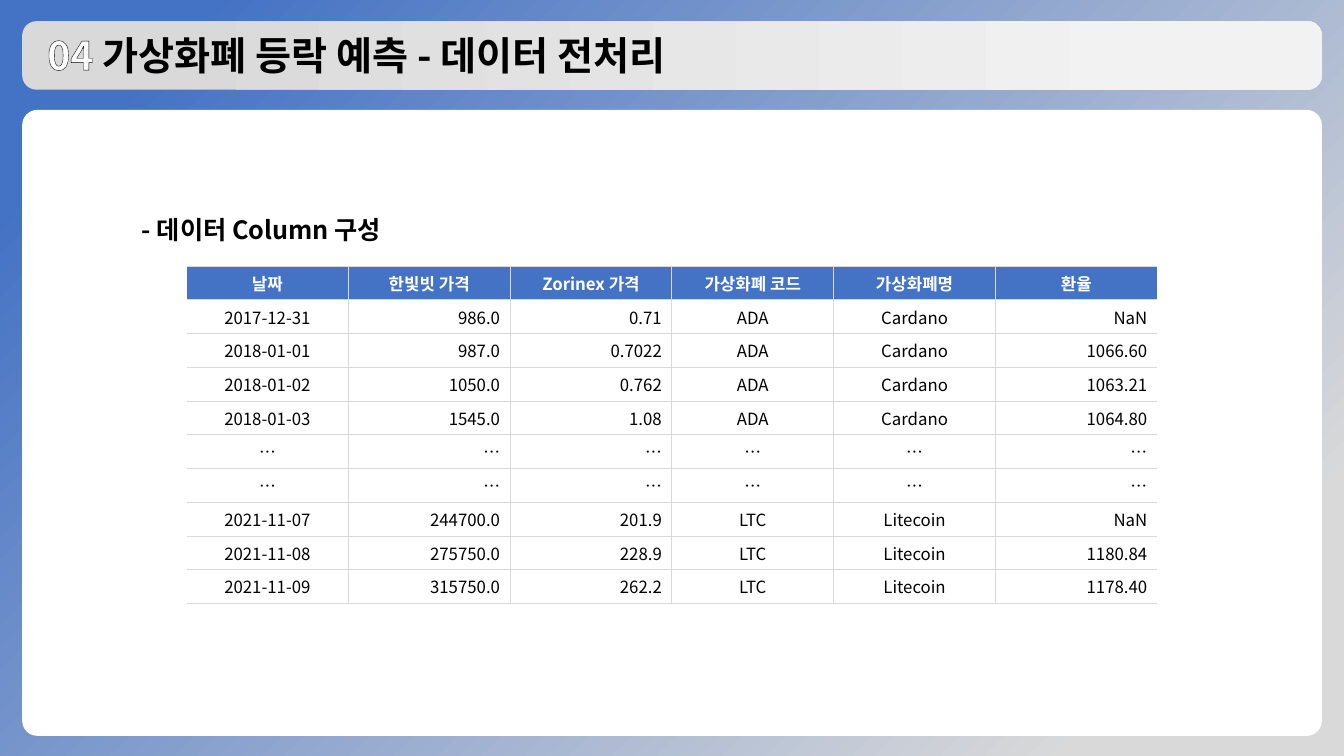
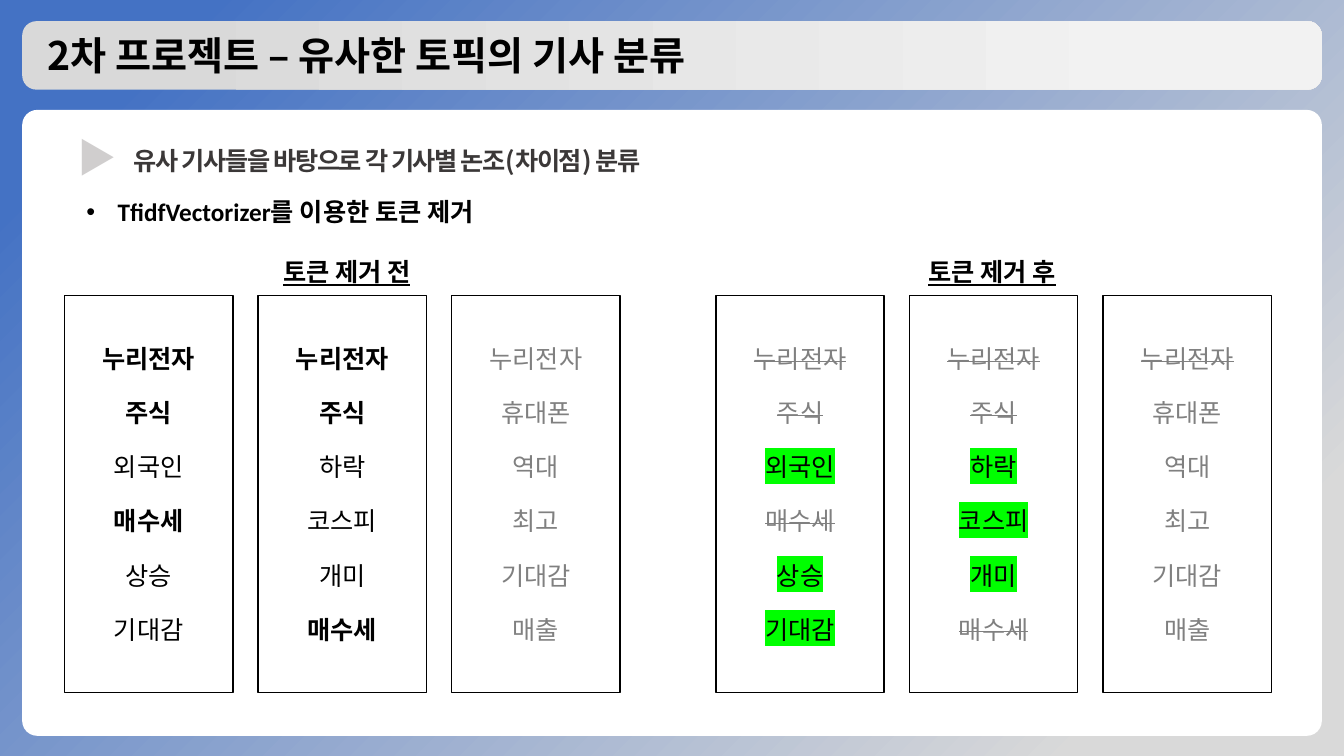
import pptx
import pptx.util
from lxml import etree
from pptx.dml.color import RGBColor
from pptx.enum.dml import MSO_PATTERN
from pptx.enum.shapes import MSO_SHAPE
from pptx.enum.text import MSO_ANCHOR, PP_ALIGN
from pptx.oxml.ns import qn

Inches, Pt = pptx.util.Inches, pptx.util.Pt
color = RGBColor.from_string

KOREAN = "Noto Sans CJK KR"
BLUE, SILVER, WHITE, BLACK = "4472C4", "D9D9D9", "FFFFFF", "000000"
DARK, GRAY, GREEN = "3B3838", "808080", "00FF00"


def add_run(paragraph, text, size=18, ink=BLACK, bold=True, font=KOREAN,
            pattern=None, strike=False, highlight=None):
    """Add one run; pattern is (foreground, background, outline, outline width)."""
    run = paragraph.add_run()
    run.text = text
    run.font.size, run.font.bold = Pt(size), bold
    properties = run.font._element
    if pattern:
        front, back, outline, width = pattern
        run.font.fill.patterned()
        run.font.fill.pattern = MSO_PATTERN.DARK_UPWARD_DIAGONAL
        run.font.fill.fore_color.rgb = color(front)
        run.font.fill.back_color.rgb = color(back)
        line = etree.Element(qn("a:ln"), w=str(Pt(width)))
        solid = etree.SubElement(line, qn("a:solidFill"))
        etree.SubElement(solid, qn("a:srgbClr"), val=outline)
        properties.insert(0, line)
    else:
        run.font.color.rgb = color(ink)
    if strike:
        properties.set("strike", "sngStrike")
    if highlight:
        marker = etree.SubElement(properties, qn("a:highlight"))
        etree.SubElement(marker, qn("a:srgbClr"), val=highlight)
    run.font.name = font
    etree.SubElement(properties, qn("a:ea"), typeface=KOREAN)
    return run


def add_line_box(slide, left, top, width, height):
    """Add a wrapping text box and return its first paragraph."""
    frame = slide.shapes.add_textbox(
        Inches(left), Inches(top), Inches(width), Inches(height)).text_frame
    frame.word_wrap = True
    frame.vertical_anchor = MSO_ANCHOR.MIDDLE
    return frame.paragraphs[0]


prs = pptx.Presentation()
prs.slide_width, prs.slide_height = Inches(13.33), Inches(7.5)
blank = prs.slide_layouts[6]

# Shared frame: background, title band, white panel, title line
slides, titles = [], []
for _ in range(2):
    slide = prs.slides.add_slide(blank)
    bands = []
    for top, height, corner in [(0.21, 0.68, 0.208), (1.09, 6.21, 0.024)]:
        band = slide.shapes.add_shape(
            MSO_SHAPE.ROUNDED_RECTANGLE,
            Inches(0.22), Inches(top), Inches(12.89), Inches(height))
        band.adjustments[0] = corner
        band.shadow.inherit = False
        band.line.fill.background()
        bands.append(band)
    title_band, panel = bands
    panel.fill.solid()
    panel.fill.fore_color.rgb = color(WHITE)

    for fill, ends, angle in [(slide.background.fill, (BLUE, SILVER), 315),
                              (title_band.fill, (SILVER, "F2F2F2"), 0)]:
        fill.gradient()
        fill.gradient_angle = angle
        for stop, position, shade in zip(fill.gradient_stops, (0.10, 0.87), ends):
            stop.position = position
            stop.color.rgb = color(shade)

    title = add_line_box(slide, 0.37, 0.23, 11.5, 0.68)
    title.line_spacing = 0.9
    slides.append(slide)
    titles.append(title)

# Slide 1: column layout of the data
data_slide, token_slide = slides
add_run(titles[0], "04 ", 28, pattern=(DARK, WHITE, BLACK, 1.25))
add_run(titles[0], "가상화폐 등락 예측 - 데이터 전처리", 28)
add_run(add_line_box(data_slide, 1.31, 2.08, 4, 0.4), "- 데이터 Column 구성")

prices = [
    ["날짜", "한빛빗 가격", "Zorinex 가격", "가상화폐 코드", "가상화폐명", "환율"],
    ["2017-12-31", "986.0", "0.71", "ADA", "Cardano", "NaN"],
    ["2018-01-01", "987.0", "0.7022", "ADA", "Cardano", "1066.60"],
    ["2018-01-02", "1050.0", "0.762", "ADA", "Cardano", "1063.21"],
    ["2018-01-03", "1545.0", "1.08", "ADA", "Cardano", "1064.80"],
    ["…"] * 6,
    ["…"] * 6,
    ["2021-11-07", "244700.0", "201.9", "LTC", "Litecoin", "NaN"],
    ["2021-11-08", "275750.0", "228.9", "LTC", "Litecoin", "1180.84"],
    ["2021-11-09", "315750.0", "262.2", "LTC", "Litecoin", "1178.40"],
]
number_columns = (1, 2, 5)
last_column = len(prices[0]) - 1
price_table = data_slide.shapes.add_table(
    len(prices), len(prices[0]),
    Inches(1.85), Inches(2.64), Inches(9.63), Inches(3.35)).table
price_table.horz_banding = False

for row, values in enumerate(prices):
    header = row == 0
    for column, value in enumerate(values):
        cell = price_table.cell(row, column)
        cell.vertical_anchor = MSO_ANCHOR.MIDDLE
        cell.margin_top = cell.margin_bottom = Inches(0.04)
        paragraph = cell.text_frame.paragraphs[0]
        is_number = column in number_columns and not header
        paragraph.alignment = PP_ALIGN.RIGHT if is_number else PP_ALIGN.CENTER
        add_run(paragraph, value, 12, WHITE if header else BLACK, bold=header)

        # Rules on every side but the table's left and right edges
        cell_properties = cell._tc.get_or_add_tcPr()
        for side, shown in [("a:lnL", column > 0), ("a:lnR", column < last_column),
                            ("a:lnT", True), ("a:lnB", True)]:
            rule = etree.SubElement(cell_properties, qn(side), w=str(Pt(0.75)))
            if shown:
                solid = etree.SubElement(rule, qn("a:solidFill"))
                etree.SubElement(solid, qn("a:srgbClr"), val=SILVER)
            else:
                etree.SubElement(rule, qn("a:noFill"))
        cell.fill.solid()
        cell.fill.fore_color.rgb = color(BLUE if header else WHITE)

# Slide 2: heading and bullet
add_run(titles[1], "2차 프로젝트 – 유사한 토픽의 기사 분류", 28)
heading = add_run(add_line_box(token_slide, 1.23, 1.39, 8.11, 0.4),
                  "유사 기사들을 바탕으로 각 기사별 논조(차이점) 분류", ink=DARK)
heading.font._element.set("spc", "-100")
add_run(add_line_box(token_slide, 0.67, 1.27, 0.55, 0.57), "▶", 28,
        pattern=("939597", "D0CECE", "939597", 1))

method = add_line_box(token_slide, 0.76, 1.9, 9.13, 0.4)
indent = method._p.get_or_add_pPr()
indent.set("marL", str(Inches(0.31)))
indent.set("indent", str(-Inches(0.31)))
etree.SubElement(indent, qn("a:buFont"), typeface="Arial")
etree.SubElement(indent, qn("a:buChar"), char="•")
add_run(method, "TfidfVectorizer를 이용한 토큰 제거", font="Calibri")

# Slide 2: token lists before and after removal, one style letter per word
styles = {
    "B": dict(bold=True),
    "P": dict(bold=False),
    "G": dict(bold=False, ink=GRAY),
    "S": dict(bold=False, ink=GRAY, strike=True),
    "H": dict(bold=False, highlight=GREEN),
}
articles = [
    ["누리전자", "주식", "외국인", "매수세", "상승", "기대감"],
    ["누리전자", "주식", "하락", "코스피", "개미", "매수세"],
    ["누리전자", "휴대폰", "역대", "최고", "기대감", "매출"],
]
stages = [
    ("토큰 제거 전", 2.59, 0.64, ["BBPBPP", "BBPPPB", "GGGGGG"]),
    ("토큰 제거 후", 8.99, 7.1, ["SSHSHH", "SSHHHS", "SGGGGG"]),
]
for caption, caption_left, lists_left, style_rows in stages:
    caption_line = add_line_box(token_slide, caption_left, 2.49, 1.7, 0.4)
    caption_line.alignment = PP_ALIGN.CENTER
    add_run(caption_line, caption).font.underline = True

    for index, (words, letters) in enumerate(zip(articles, style_rows)):
        article = token_slide.shapes.add_shape(
            MSO_SHAPE.RECTANGLE, Inches(lists_left + index * 1.92), Inches(2.93),
            Inches(1.67), Inches(3.94))
        article.shadow.inherit = False
        article.fill.background()
        article.line.color.rgb = color(BLACK)
        article.line.width = Pt(1)
        frame = article.text_frame
        frame.vertical_anchor = MSO_ANCHOR.MIDDLE
        for position, (word, letter) in enumerate(zip(words, letters)):
            paragraph = frame.add_paragraph() if position else frame.paragraphs[0]
            paragraph.alignment = PP_ALIGN.CENTER
            if position:
                paragraph.space_before = Pt(17)
            add_run(paragraph, word, **styles[letter])

prs.save("out.pptx")
